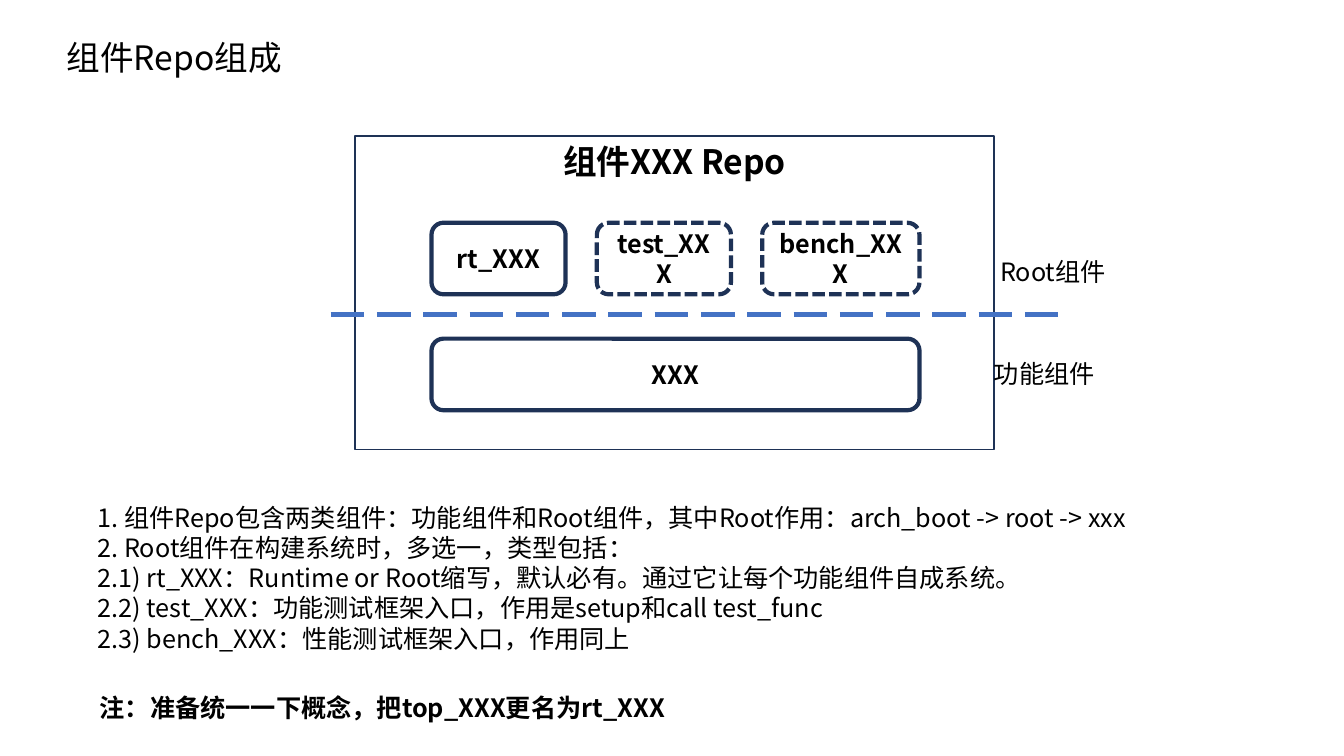
from lxml.etree import SubElement
from pptx import Presentation
from pptx.dml.color import RGBColor
from pptx.enum.dml import MSO_LINE
from pptx.enum.shapes import MSO_CONNECTOR, MSO_SHAPE
from pptx.enum.text import MSO_ANCHOR, MSO_AUTO_SIZE, PP_ALIGN
from pptx.oxml.ns import qn
from pptx.util import Inches, Pt

FONT = "Noto Sans CJK SC"
BLACK, WHITE, NAVY, BLUE = "000000", "FFFFFF", "1E3256", "4472C4"

TITLE = "组件Repo组成"
REPO = "组件XXX Repo"
FUNCTION_COMPONENT = "XXX"
ROOT_COMPONENTS = [
    ("rt_XXX", 1.33, None),
    ("test_XXX", 1.33, MSO_LINE.SQUARE_DOT),
    ("bench_XXX", 1.56, MSO_LINE.SQUARE_DOT),
]
NOTES = [
    "1. 组件Repo包含两类组件：功能组件和Root组件，其中Root作用：arch_boot -> root -> xxx",
    "2. Root组件在构建系统时，多选一，类型包括：",
    "2.1) rt_XXX：Runtime or Root缩写，默认必有。通过它让每个功能组件自成系统。",
    "2.2) test_XXX：功能测试框架入口，作用是setup和call test_func",
    "2.3) bench_XXX：性能测试框架入口，作用同上",
]
TEXT_BOXES = [
    (NOTES, (0.87, 4.93, 11.42, 1.62), False),
    (["功能组件"], (9.76, 3.51, 1.25, 0.4), False),
    (["Root组件"], (9.82, 2.49, 1.33, 0.4), False),
    (["注：准备统一一下概念，把top_XXX更名为rt_XXX"], (0.89, 6.82, 8.23, 0.4), True),
]
INNER_LEFT, INNER_WIDTH, ROW_HEIGHT = 4.28, 4.84, 0.71
ROOT_TOP, FUNCTION_TOP, DIVIDER_TOP = 2.21, 3.36, 3.12


def color(value):
    return RGBColor.from_string(value)


def write(shape, lines, size=18, bold=False, align=PP_ALIGN.LEFT, anchor=MSO_ANCHOR.TOP):
    frame = shape.text_frame
    frame.auto_size = MSO_AUTO_SIZE.NONE
    frame.word_wrap = True
    frame.vertical_anchor = anchor
    for index, line in enumerate(lines):
        para = frame.add_paragraph() if index else frame.paragraphs[0]
        para.alignment = align
        span = para.add_run()
        span.text = line
        span.font.size = Pt(size)
        span.font.bold = bold
        span.font.name = FONT
        span.font.color.rgb = color(BLACK)
        SubElement(span.font._element, qn("a:ea"), typeface=FONT)


def add_box(page, kind, area, text, line_width, dash=None, **text_format):
    box = page.shapes.add_shape(kind, *map(Inches, area))
    box.shadow.inherit = False
    box.fill.solid()
    box.fill.fore_color.rgb = color(WHITE)
    box.line.color.rgb = color(NAVY)
    box.line.width = Pt(line_width)
    if dash:
        box.line.dash_style = dash
    write(box, [text], bold=True, align=PP_ALIGN.CENTER, **text_format)


def add_component(page, text, left, top, width, dash=None):
    area = (left, top, width, ROW_HEIGHT)
    add_box(page, MSO_SHAPE.ROUNDED_RECTANGLE, area, text, 3, dash, anchor=MSO_ANCHOR.MIDDLE)


def add_divider(page):
    ends = (3.28, DIVIDER_TOP, 10.49, DIVIDER_TOP)
    divider = page.shapes.add_connector(MSO_CONNECTOR.STRAIGHT, *map(Inches, ends))
    divider.line.color.rgb = color(BLUE)
    divider.line.width = Pt(3)
    divider.line.dash_style = MSO_LINE.LONG_DASH
    SubElement(divider._element.spPr, qn("a:effectLst"))


def main():
    deck = Presentation()
    deck.slide_width, deck.slide_height = Inches(13.33), Inches(7.5)
    page = deck.slides.add_slide(deck.slide_layouts[5])

    title = page.shapes.title
    title.left, title.top = Inches(0.56), Inches(0.32)
    title.width, title.height = Inches(2.56), Inches(0.5)
    write(title, [TITLE], size=24)

    add_box(page, MSO_SHAPE.RECTANGLE, (3.52, 1.35, 6.34, 3.11), REPO, 1, size=24)
    add_component(page, FUNCTION_COMPONENT, INNER_LEFT, FUNCTION_TOP, INNER_WIDTH)

    used = sum(width for _, width, _ in ROOT_COMPONENTS)
    gap = (INNER_WIDTH - used) / (len(ROOT_COMPONENTS) - 1)
    left = INNER_LEFT
    for text, width, dash in ROOT_COMPONENTS:
        add_component(page, text, left, ROOT_TOP, width, dash)
        left += width + gap

    add_divider(page)
    for lines, area, bold in TEXT_BOXES:
        write(page.shapes.add_textbox(*map(Inches, area)), lines, bold=bold)

    deck.save("out.pptx")


if __name__ == "__main__":
    main()
